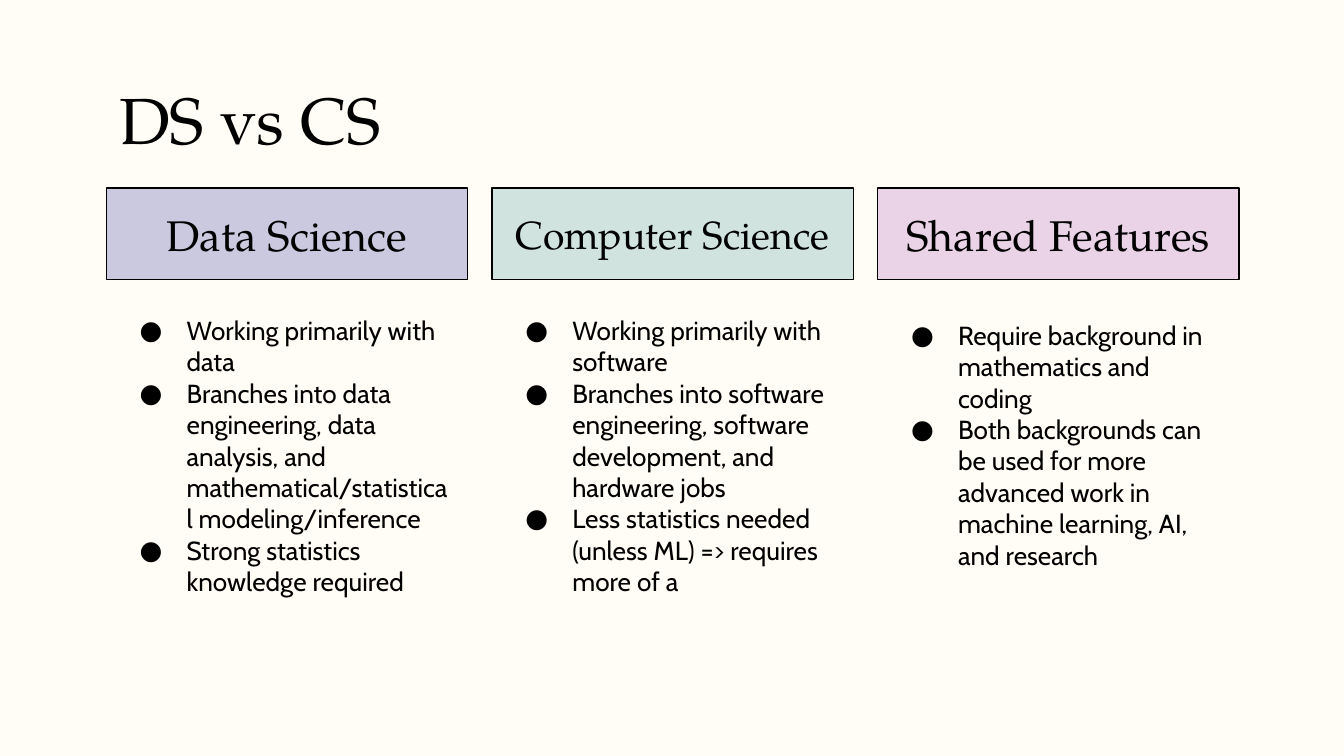
from lxml import etree
from pptx import Presentation
from pptx import util as u
from pptx.dml.color import RGBColor
from pptx.enum import shapes, text
from pptx.oxml import ns

COLORS = {
    "paper": "FFFDF5",
    "ink": "000000",
    "lavender": "CBC9DF",
    "mint": "D0E3DE",
    "pink": "EAD3E7",
}
SERIF = "TeX Gyre Pagella"
SANS = "Cabin"

COLUMNS = [
    {
        "heading": "Data Science", "size": 23, "color": "lavender",
        "body": (0.97, 2.04),
        "points": [
            "Working primarily with data",
            "Branches into data engineering, data analysis, and "
            "mathematical/statistical modeling/inference",
            "Strong statistics knowledge required",
        ],
    },
    {
        "heading": "Computer Science", "size": 21, "color": "mint",
        "body": (0.97, 2.04),
        "points": [
            "Working primarily with software",
            "Branches into software engineering, software development, "
            "and hardware jobs",
            "Less statistics needed (unless ML) => requires more of a",
        ],
    },
    {
        "heading": "Shared Features", "size": 23, "color": "pink",
        "body": (0.68, 2.46),
        "points": [
            "Require background in mathematics and coding",
            "Both backgrounds can be used for more advanced work in "
            "machine learning, AI, and research",
        ],
    },
]


def rgb(name):
    """Return the named palette colour."""
    return RGBColor.from_string(COLORS[name])


def add_bullet(para, font, size):
    """Give a paragraph a round bullet with a hanging indent."""
    props = para._p.get_or_add_pPr()
    props.set("marL", str(u.Inches(0.5)))
    props.set("indent", str(u.Inches(-0.35)))
    color = etree.SubElement(props, ns.qn("a:buClr"))
    etree.SubElement(color, ns.qn("a:srgbClr"), val=COLORS["ink"])
    etree.SubElement(props, ns.qn("a:buSzPts"), val=str(size * 100))
    etree.SubElement(props, ns.qn("a:buFont"), typeface=font)
    etree.SubElement(props, ns.qn("a:buChar"), char="●")


def write(box, lines, font=SANS, size=14, align=text.PP_ALIGN.LEFT,
          anchor=text.MSO_ANCHOR.MIDDLE, bullets=False):
    """Fill a box with one formatted paragraph per line."""
    frame = box.text_frame
    frame.word_wrap = True
    frame.vertical_anchor = anchor
    frame.margin_left = frame.margin_right = u.Inches(0.1)
    frame.margin_top = frame.margin_bottom = u.Inches(0.1)
    for index, line in enumerate(lines):
        para = frame.add_paragraph() if index else frame.paragraphs[0]
        para.alignment = align
        if bullets:
            add_bullet(para, font, size)
        span = para.add_run()
        span.text = line
        span.font.name = font
        span.font.size = u.Pt(size)
        span.font.color.rgb = rgb("ink")


def add_title(page, left, top, width, height):
    """Place the slide title in the given box."""
    box = page.shapes.add_textbox(*map(u.Inches, (left, top, width, height)))
    write(box, ["DS vs CS"], font=SERIF, size=35, anchor=text.MSO_ANCHOR.TOP)


def add_column(page, left, top, width, column):
    """Place a coloured heading with its bullet list below."""
    heading = page.shapes.add_shape(
        shapes.MSO_SHAPE.RECTANGLE,
        *map(u.Inches, (left, top, width, 0.68)))
    heading.shadow.inherit = False
    heading.fill.solid()
    heading.fill.fore_color.rgb = rgb(column["color"])
    heading.line.color.rgb = rgb("ink")
    heading.line.width = u.Pt(0.75)
    write(heading, [column["heading"]], font=SERIF, size=column["size"],
          align=text.PP_ALIGN.CENTER)
    offset, height = column["body"]
    body = page.shapes.add_textbox(
        *map(u.Inches, (left, top + offset, width - 0.01, height)))
    write(body, column["points"], bullets=True)


def main():
    """Build the comparison slide and save the deck."""
    deck = Presentation()
    deck.slide_width = u.Inches(10)
    deck.slide_height = u.Inches(10 * 9 / 16)
    page = deck.slides.add_slide(deck.slide_layouts[6])
    page.background.fill.solid()
    page.background.fill.fore_color.rgb = rgb("paper")
    left, width, gap = 0.79, 2.69, 0.18
    add_title(page, left, 0.49, 8.43, 0.63)
    for index, column in enumerate(COLUMNS):
        add_column(page, left + index * (width + gap), 1.4, width, column)
    deck.save("out.pptx")


if __name__ == "__main__":
    main()
